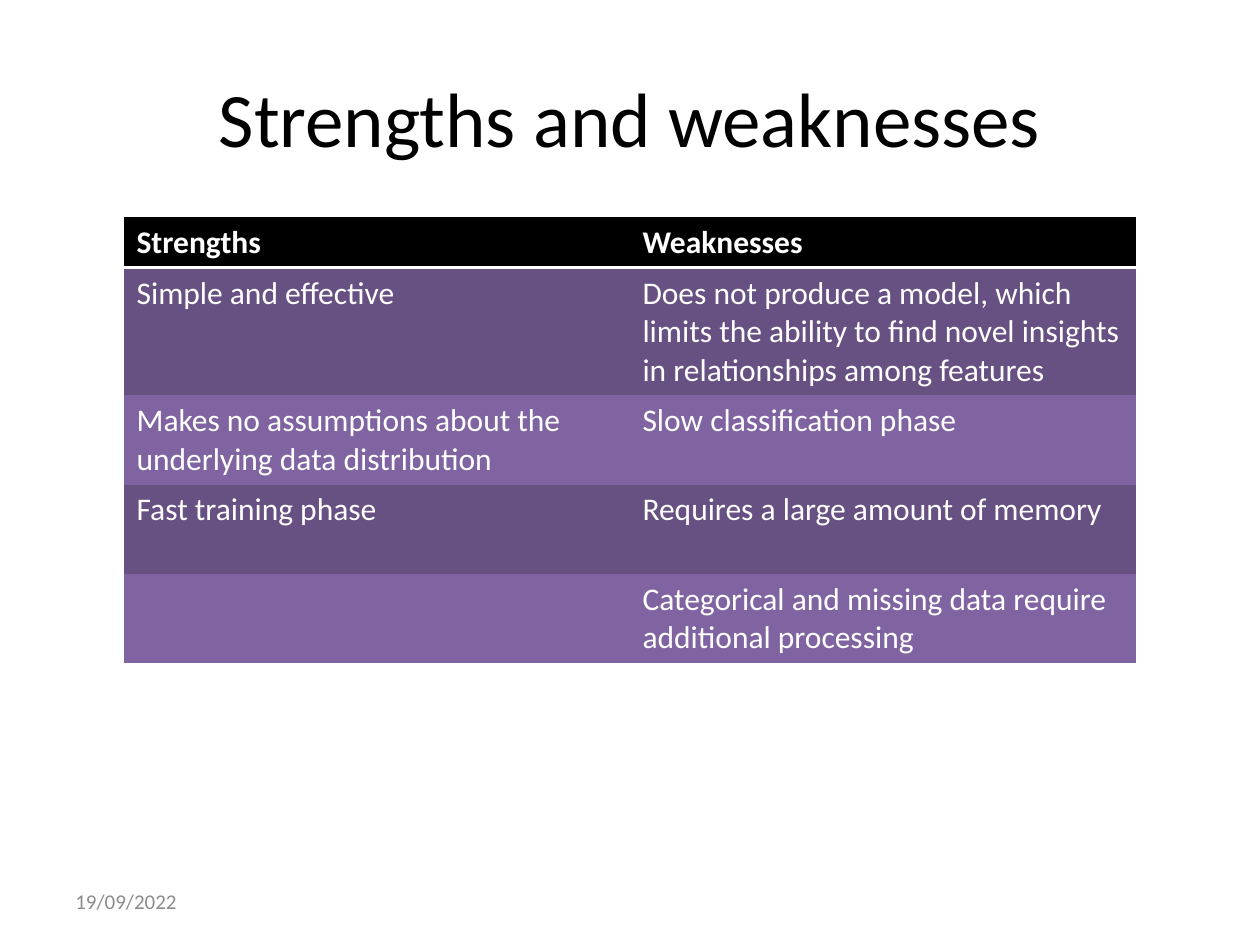
"""Build a slide that sets strengths beside weaknesses in a banded table."""
from dataclasses import dataclass

from lxml.etree import SubElement as Sub
from pptx import Presentation as Deck
from pptx.dml.color import RGBColor as Rgb
from pptx.enum.text import MSO_ANCHOR as Anchor, PP_ALIGN as Align
from pptx.oxml.ns import qn
from pptx.util import Cm, Pt


@dataclass(frozen=True)
class Theme:
    font: str = "Calibri"
    black: str = "000000"
    white: str = "FFFFFF"
    grey: str = "8C8C8C"
    bands: tuple = ("675082", "8064A2")
    title: int = 44
    body: int = 18
    small: int = 12
    rule: int = 2


look = Theme()


def write(frame, text, size=look.body, color=look.white, bold=False,
          align=Align.LEFT, anchor=Anchor.TOP):
    frame.word_wrap = True
    frame.vertical_anchor = anchor
    par = frame.paragraphs[0]
    par.alignment = align
    par.font.size = Pt(size)
    if text:
        run = par.add_run()
        run.text = text
        run.font.name = look.font
        run.font.size = Pt(size)
        run.font.bold = bold
        run.font.color.rgb = Rgb.from_string(color)


deck = Deck()
deck.slide_width, deck.slide_height = Cm(25.4), Cm(19.05)
slide = deck.slides.add_slide(deck.slide_layouts[5])

title = slide.shapes.title
title.left, title.top = Cm(1.27), Cm(0.76)
title.width, title.height = Cm(22.86), Cm(3.18)
write(title.text_frame, "Strengths and weaknesses", size=look.title,
      color=look.black, align=Align.CENTER, anchor=Anchor.MIDDLE)

date = slide.shapes.add_textbox(Cm(1.27), Cm(17.65), Cm(5.92), Cm(1.02))
write(date.text_frame, "19/09/2022", size=look.small, color=look.grey,
      anchor=Anchor.MIDDLE)

rows = [
    (1.03, "Strengths", "Weaknesses"),
    (2.57, "Simple and effective",
     "Does not produce a model, which limits the ability to find novel "
     "insights in relationships among features"),
    (1.8, "Makes no assumptions about the underlying data distribution",
     "Slow classification phase"),
    (1.8, "Fast training phase", "Requires a large amount of memory"),
    (1.8, "", "Categorical and missing data require additional processing"),
]
high = sum(row[0] for row in rows)
table = slide.shapes.add_table(len(rows), 2, Cm(2.5), Cm(4.37),
                               Cm(20.4), Cm(high)).table
table.horz_banding = False
style = table._tbl.tblPr.find(qn("a:tableStyleId"))
style.text = "{2D5ABB26-0587-4C30-8999-92F81FD0307C}"

for i, (tall, *texts) in enumerate(rows):
    table.rows[i].height = Cm(tall)
    head = i == 0
    fill = look.black if head else look.bands[(i - 1) % 2]
    for j, text in enumerate(texts):
        cell = table.cell(i, j)
        write(cell.text_frame, text, bold=head)
        if head:
            edge = Sub(cell._tc.get_or_add_tcPr(), qn("a:lnB"),
                       w=str(Pt(look.rule)))
            Sub(Sub(edge, qn("a:solidFill")), qn("a:srgbClr"), val=look.white)
        cell.fill.solid()
        cell.fill.fore_color.rgb = Rgb.from_string(fill)

deck.save("out.pptx")
